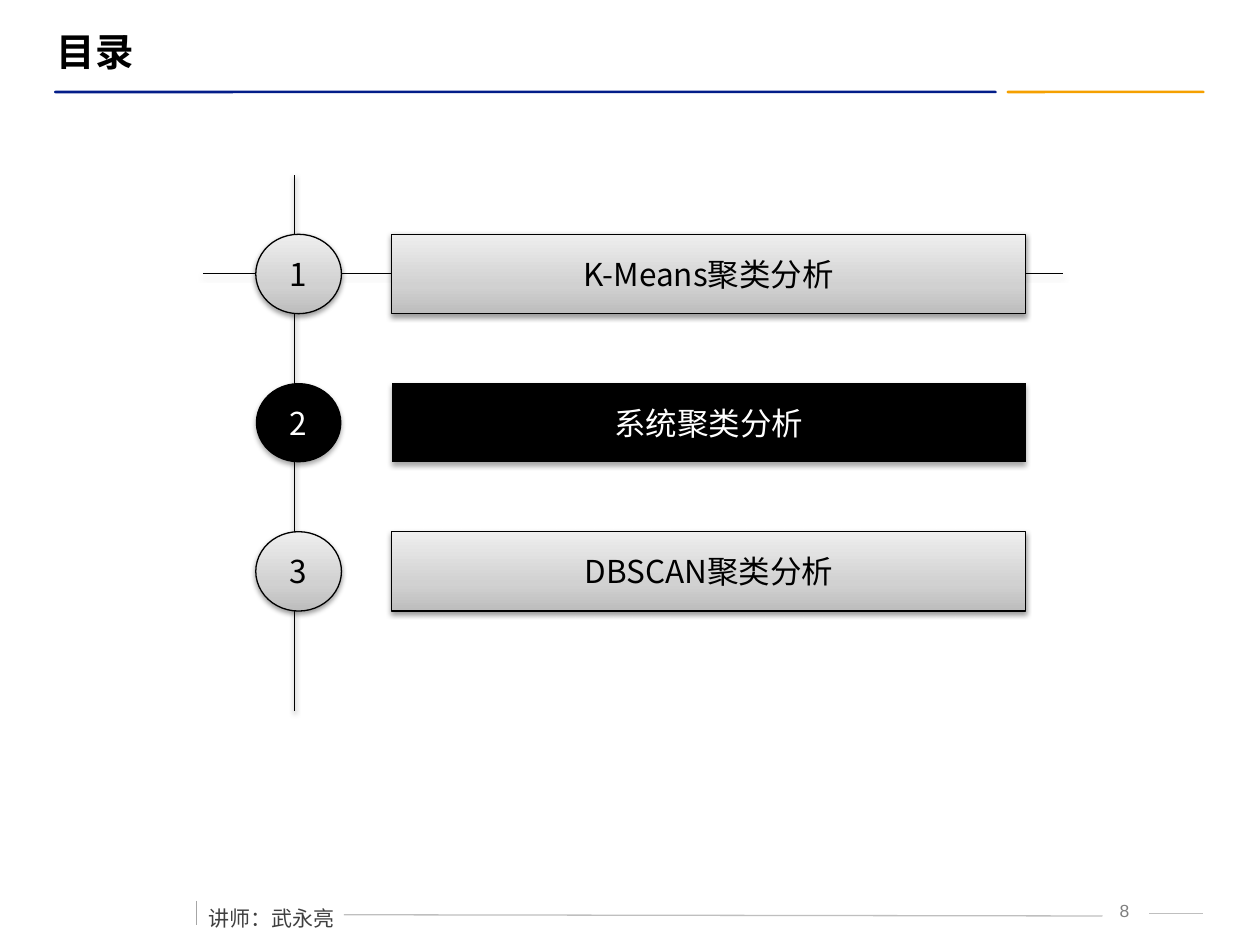
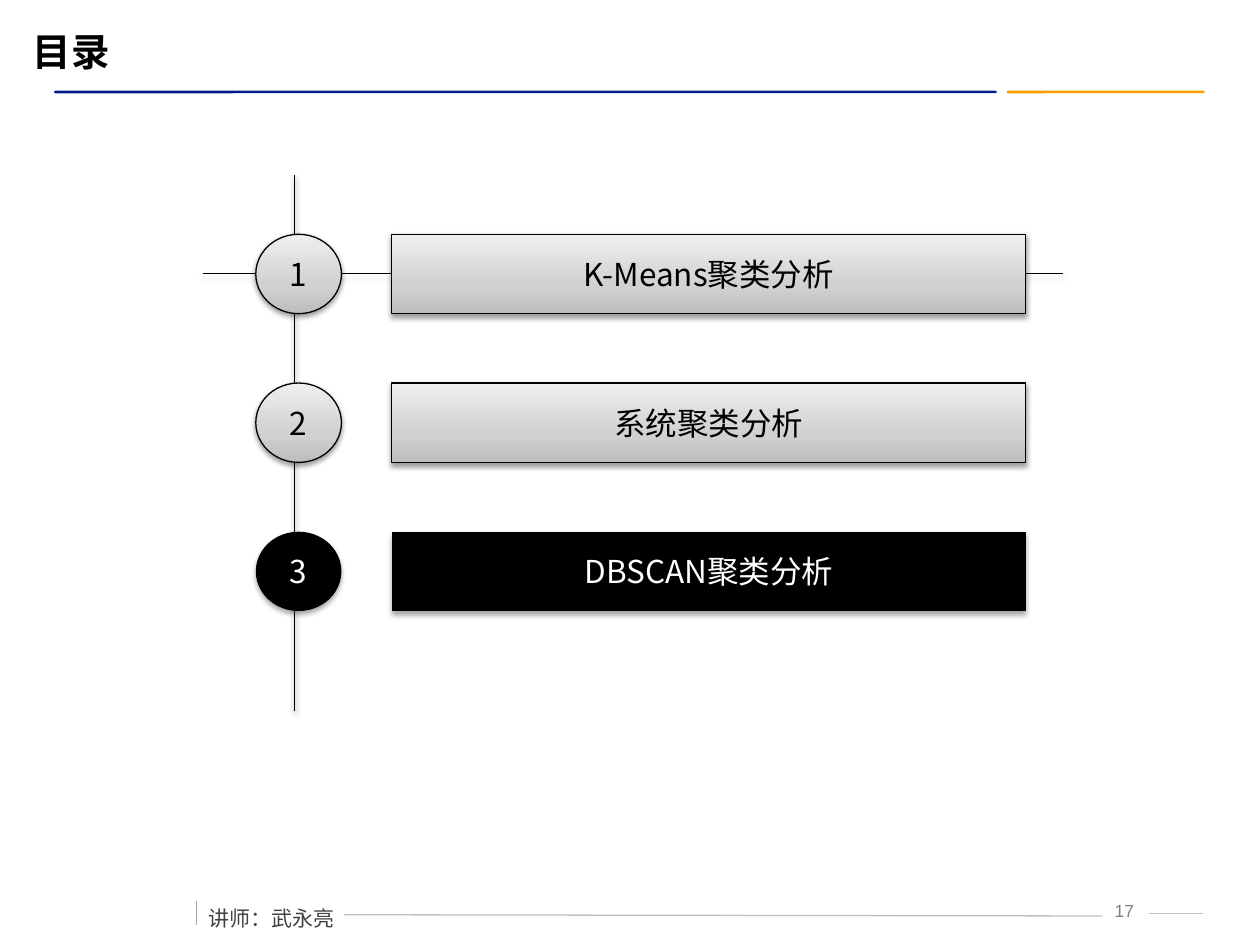
from pptx import Presentation
from pptx.dml.color import RGBColor
from pptx.enum.shapes import MSO_CONNECTOR, MSO_SHAPE
from pptx.enum.text import MSO_ANCHOR, MSO_AUTO_SIZE, PP_ALIGN
from pptx.oxml import parse_xml
from pptx.oxml.ns import nsdecls, qn
from pptx.util import Inches, Pt

OVAL, BAR, ROUND = MSO_SHAPE.OVAL, MSO_SHAPE.ACTION_BUTTON_CUSTOM, MSO_SHAPE.ROUNDED_RECTANGLE
LINE = MSO_CONNECTOR.STRAIGHT
LEFT, CENTER = PP_ALIGN.LEFT, PP_ALIGN.CENTER
TOP, MIDDLE = MSO_ANCHOR.TOP, MSO_ANCHOR.MIDDLE
GROW = MSO_AUTO_SIZE.SHAPE_TO_FIT_TEXT

# Grid of 100 columns by 75 rows; every length below is in cells
WIDE, HIGH = Inches(10), Inches(7.5)
CELL = WIDE / 100

BLACK, WHITE, NAVY, AMBER = "000000", "FFFFFF", "031D89", "F5A000"
RULE, TICK, DARK, GREY = "BFBFBF", "A6A6A6", "404040", "7F7F7F"
SHADES = [(0, "BDBDBD"), (35, "D1D1D1"), (100, "EEEEEE")]
HAN, LATIN = "Noto Sans CJK SC", "Arial"

# Boxes: left, top, width, height
BAND = (4.3, 7.2, 91.3, 0.2)
AGENDA = (16.1, 13.9, 68.3, 42.5)
FOOT = (15.6, 70.4, 79.9, 3.6)

TOPICS = ["K-Means聚类分析", "系统聚类分析", "DBSCAN聚类分析"]
# Page number, active topic, title's left edge
PAGES = [(8, 2, 3.5), (17, 3, 1.6)]


def color(code):
    return RGBColor.from_string(code)


def cells(*sizes):
    return [round(size * CELL) for size in sizes]


def place(box, left, top, *size):
    """Turn cells inside a box into slide lengths."""
    return cells(box[0] + left, box[1] + top, *size)


def write(shape, text, font=HAN, size=18, ink=BLACK, bold=False, align=LEFT,
          anchor=TOP, wrap=True, space=None, before=None):
    frame = shape.text_frame
    frame.word_wrap, frame.vertical_anchor = wrap, anchor
    para = frame.paragraphs[0]
    para.alignment, para.line_spacing = align, space
    if before is not None:
        para.space_before = Pt(before)
    run = para.add_run()
    run.text = text
    run.font.name, run.font.size, run.font.bold = font, Pt(size), bold
    run.font.color.rgb = color(ink)
    run.font.latin = None
    run._r.get_or_add_rPr().append(
        parse_xml(f'<a:ea {nsdecls("a")} typeface="{HAN}"/>'))
    return frame


def effect(shape, alpha=0, drop=1.6):
    """Give a soft shadow straight below, or none when alpha is 0."""
    props = shape._element.spPr
    for old in props.findall(qn("a:effectLst")):
        props.remove(old)
    glow = (f'<a:outerShdw blurRad="{Pt(3.1)}" dist="{Pt(drop)}" dir="5400000" '
            f'rotWithShape="0"><a:srgbClr val="{BLACK}"><a:alpha val="{alpha * 1000}"/>'
            '</a:srgbClr></a:outerShdw>') if alpha else ""
    props.append(parse_xml(f'<a:effectLst {nsdecls("a")}>{glow}</a:effectLst>'))


def shade(shape):
    """Fill with grey that lightens upward."""
    stops = "".join(f'<a:gs pos="{spot * 1000}"><a:srgbClr val="{code}"/></a:gs>'
                    for spot, code in SHADES)
    shape._element.spPr.find(qn("a:prstGeom")).addnext(parse_xml(
        f'<a:gradFill {nsdecls("a")} rotWithShape="1"><a:gsLst>{stops}</a:gsLst>'
        '<a:lin ang="16200000" scaled="0"/></a:gradFill>'))


def draw(slide, box, start, end, ink=BLACK, alpha=0):
    line = slide.shapes.add_connector(LINE, *place(box, *start), *place(box, *end))
    line.line.color.rgb, line.line.width = color(ink), Pt(0.75)
    effect(line, alpha)


def head(slide, left):
    """Title with its two-tone band."""
    title = slide.shapes.title
    title.left, title.top, title.width, title.height = cells(left, 1.7, 92.5 - left, 4.7)
    write(title, "目录", font=LATIN, size=22, bold=True, anchor=MIDDLE)
    for edge, width, ink in [(0, 74.8, NAVY), (75.6, 15.7, AMBER)]:
        strip = slide.shapes.add_shape(ROUND, *place(BAND, edge, 0, width, BAND[3]))
        strip.adjustments[0] = 0.5
        strip.fill.solid()
        strip.fill.fore_color.rgb = color(ink)
        strip.line.fill.background()
        strip.shadow.inherit = False


def foot(slide, page):
    """Speaker, rules and page number."""
    for start, end, ink in [((11.7, 2.2), (71.9, 2.3), RULE),
                            ((75.6, 2.1), (79.9, 2.1), RULE),
                            ((0, 1.1), (0, 3), TICK)]:
        draw(slide, FOOT, start, end, ink)
    name = slide.shapes.add_textbox(*place(FOOT, 0, 0, 12.1, FOOT[3]))
    write(name, "讲师：武永亮", size=12, ink=DARK, wrap=False,
          space=1.5, before=6).auto_size = GROW
    number = slide.shapes.add_textbox(*place(FOOT, 71.1, 0.5, 4.7, 2.5))
    write(number, f" {page}", font=LATIN, size=10, ink=GREY, align=CENTER)


def agenda(slide, box, active):
    """Numbered topics on crossed lines, with the active one in black."""
    draw(slide, box, (7.3, 0), (7.3, box[3]), alpha=38)
    draw(slide, box, (0, 7.8), (box[2], 7.8), alpha=38)
    for index, topic in enumerate(TOPICS):
        top = 4.7 + 11.8 * index
        lit = index + 1 == active
        for kind, left, width, text in [(OVAL, 4.2, 6.8, str(index + 1)),
                                        (BAR, 15, 50.3, topic)]:
            shape = slide.shapes.add_shape(kind, *place(box, left, top, width, 6.3))
            if lit:
                shape.fill.solid()
                shape.fill.fore_color.rgb = color(BLACK)
                shape.line.fill.background()
                effect(shape, 35, 1.8)
            else:
                shade(shape)
                shape.line.color.rgb, shape.line.width = color(BLACK), Pt(0.75)
                effect(shape, 38)
            write(shape, text, ink=WHITE if lit else BLACK, align=CENTER,
                  anchor=MIDDLE, wrap=False)


def main():
    deck = Presentation()
    deck.slide_width, deck.slide_height = WIDE, HIGH
    for page, active, left in PAGES:
        slide = deck.slides.add_slide(deck.slide_layouts[5])
        head(slide, left)
        foot(slide, page)
        agenda(slide, AGENDA, active)
    deck.save("out.pptx")


if __name__ == "__main__":
    main()
